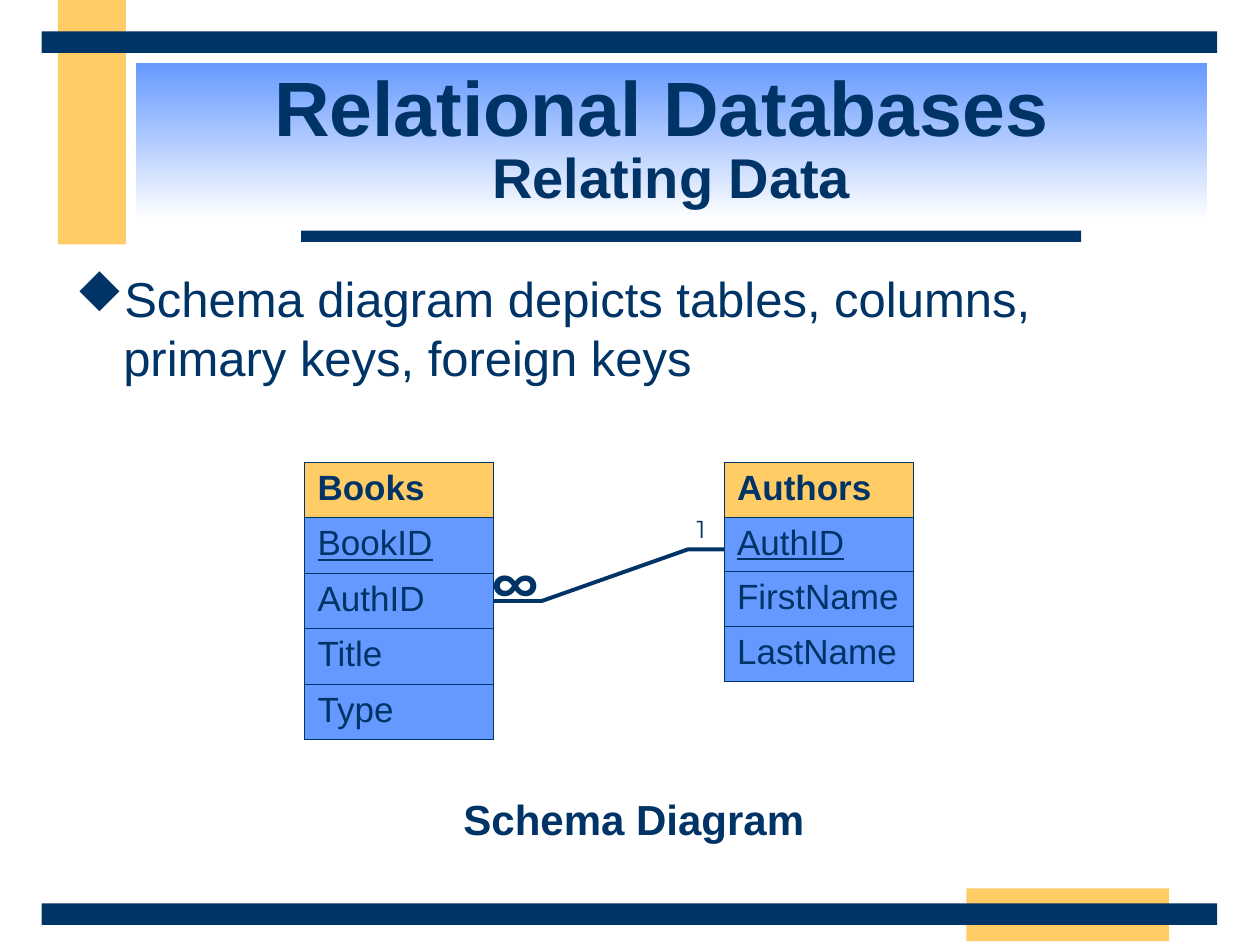
from lxml import etree
from pptx import Presentation
from pptx.dml.color import RGBColor
from pptx.enum import shapes, text
from pptx.oxml import ns
from pptx.util import Inches, Pt

NAVY = RGBColor(0x00, 0x33, 0x66)
GOLD = RGBColor(0xFF, 0xCC, 0x66)
BLUE = RGBColor(0x66, 0x99, 0xFF)
WHITE = RGBColor(0xFF, 0xFF, 0xFF)

deck = Presentation()
deck.slide_width, deck.slide_height = Inches(10), Inches(7.5)
slide = deck.slides.add_slide(deck.slide_layouts[6])


def style(font, size, bold=False, name="Arial"):
    font.size, font.bold, font.name = Pt(size), bold, name
    font.color.rgb = NAVY


def add_rect(box, color=None):
    rect = slide.shapes.add_shape(shapes.MSO_SHAPE.RECTANGLE, *map(Inches, box))
    rect.shadow.inherit = False
    rect.line.fill.background()
    if color is not None:
        rect.fill.solid()
        rect.fill.fore_color.rgb = color
    return rect


for box, color in [
    ((0.46, 0, 0.54, 1.94), GOLD),
    ((7.67, 7.05, 1.61, 0.42), GOLD),
    ((2.39, 1.83, 6.19, 0.09), NAVY),
    ((0.33, 7.17, 9.33, 0.17), NAVY),
    ((0.33, 0.25, 9.33, 0.17), NAVY),
]:
    add_rect(box, color)

title = add_rect((1.08, 0.5, 8.5, 1.25))
title.fill.gradient()
title.fill.gradient_angle = 270
for stop, place, color in zip(title.fill.gradient_stops, (0, 1), (BLUE, WHITE)):
    stop.position, stop.color.rgb = place, color
title.text_frame.word_wrap = True
title.text_frame.vertical_anchor = text.MSO_ANCHOR.MIDDLE
para = title.text_frame.paragraphs[0]
para.alignment, para.line_spacing = text.PP_ALIGN.CENTER, 0.85
for words, size in [("Relational Databases", 44), (" ", 40), ("Relating Data", 32)]:
    if size == 32:
        para.add_line_break()
    run = para.add_run()
    run.text = words
    style(run.font, size, True)

body = slide.shapes.add_textbox(Inches(0.5), Inches(2.08), Inches(8.75), Inches(1.17))
body.text_frame.word_wrap = True
para = body.text_frame.paragraphs[0]
para.text = "Schema diagram depicts tables, columns, \vprimary keys, foreign keys"
props = para._p.get_or_add_pPr()
props.set("marL", str(Inches(0.38)))
props.set("indent", str(Inches(-0.38)))
tint = etree.SubElement(props, ns.qn("a:buClr"))
etree.SubElement(tint, ns.qn("a:srgbClr"), val=str(NAVY))
etree.SubElement(props, ns.qn("a:buFont"), typeface="Wingdings", charset="2")
etree.SubElement(props, ns.qn("a:buChar"), char="u")
style(para.font, 28)
for run in para.runs:
    style(run.font, 28)

path = slide.shapes.build_freeform(Inches(3.9), Inches(4.77))
points = [(4.3, 4.77), (5.46, 4.36), (5.79, 4.36)]
path.add_line_segments([(Inches(x), Inches(y)) for x, y in points], close=False)
link = path.convert_to_shape()
link.shadow.inherit = False
link.fill.background()
link.line.color.rgb, link.line.width = NAVY, Pt(2.25)

for words, box, size, bold, face in [
    ("1", (5.43, 4.03, 0.31, 0.34), 14, False, "Montserrat"),
    ("∞", (3.81, 4.35, 0.52, 0.57), 28, True, "Montserrat"),
    ("Schema Diagram", (3.58, 6.25, 2.91, 0.5), 24, True, "Arial"),
]:
    label = slide.shapes.add_textbox(*map(Inches, box))
    label.text_frame.word_wrap = False
    label.text_frame.auto_size = text.MSO_AUTO_SIZE.SHAPE_TO_FIT_TEXT
    para = label.text_frame.paragraphs[0]
    para.text = words
    style(para.font, size, bold, face)
    style(para.runs[0].font, size, bold, face)

for left, high, names in [
    (2.42, 0.44, ["Books", "BookID", "AuthID", "Title", "Type"]),
    (5.75, 0.43, ["Authors", "AuthID", "FirstName", "LastName"]),
]:
    table = slide.shapes.add_table(
        len(names), 1, Inches(left), Inches(3.67), Inches(1.5), Inches(high * len(names))
    ).table
    table.first_row = table.horz_banding = False
    for row, name in enumerate(names):
        table.rows[row].height = Inches(high)
        cell = table.cell(row, 0)
        para = cell.text_frame.paragraphs[0]
        para.text = name
        for font in (para.font, para.runs[0].font):
            style(font, 20, row == 0)
            font.underline = row == 1
        props = cell._tc.get_or_add_tcPr()
        for side in ("lnL", "lnR", "lnT", "lnB"):
            edge = etree.SubElement(props, ns.qn("a:" + side), w=str(Pt(0.75)))
            fill = etree.SubElement(edge, ns.qn("a:solidFill"))
            etree.SubElement(fill, ns.qn("a:srgbClr"), val=str(NAVY))
        cell.fill.solid()
        cell.fill.fore_color.rgb = BLUE if row else GOLD
        cell.margin_left = cell.margin_right = Inches(0.1)
        cell.margin_top = cell.margin_bottom = Inches(0.05)

deck.save("out.pptx")
